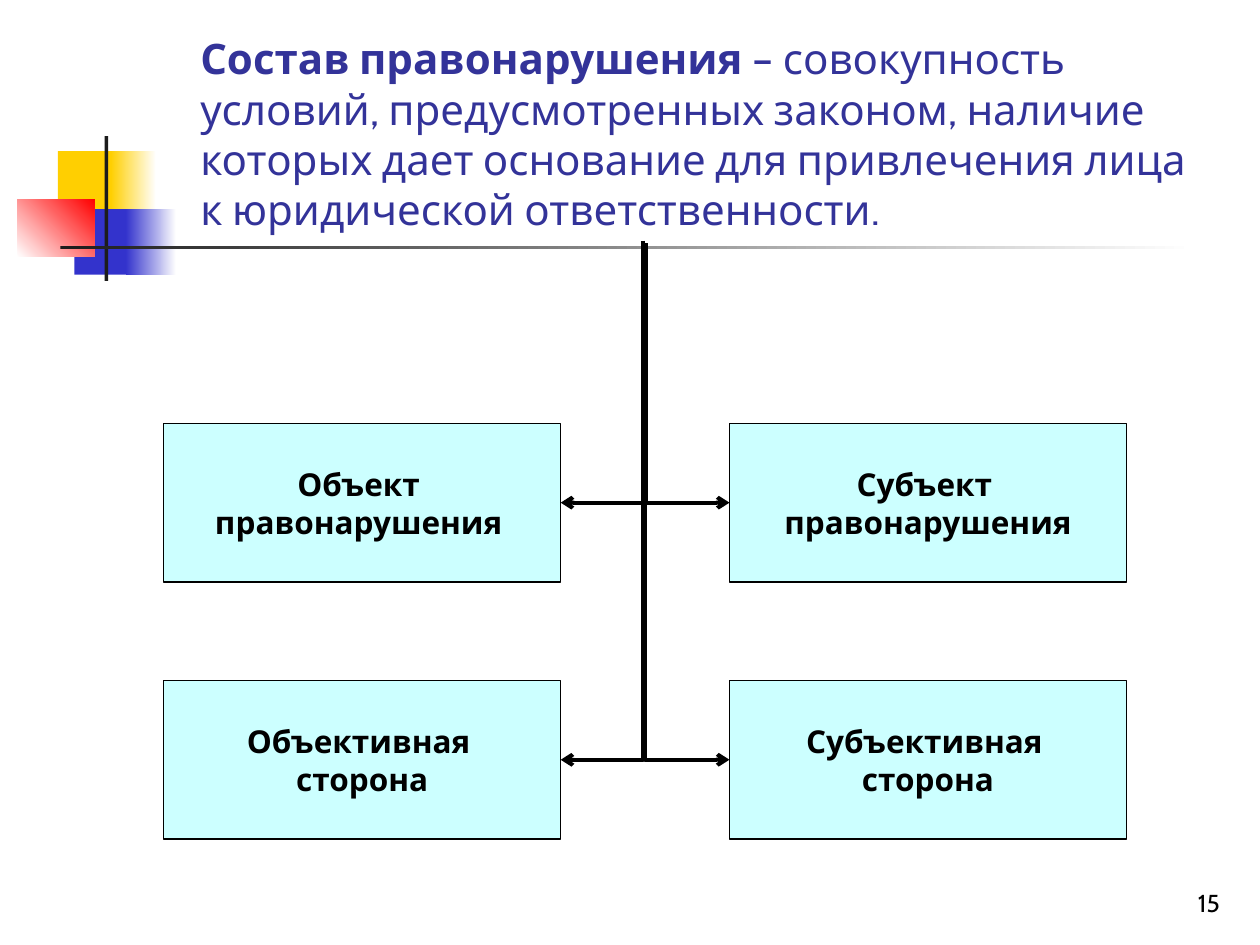
from lxml import etree
from pptx import Presentation
from pptx.dml.color import RGBColor
from pptx.enum.shapes import MSO_CONNECTOR, MSO_SHAPE
from pptx.enum.text import MSO_ANCHOR, MSO_AUTO_SIZE, PP_ALIGN
from pptx.oxml.ns import qn
from pptx.util import Inches, Pt

RECTANGLE = MSO_SHAPE.RECTANGLE
ELBOW = MSO_CONNECTOR.ELBOW
MIDDLE, BOTTOM = MSO_ANCHOR.MIDDLE, MSO_ANCHOR.BOTTOM
LEFT, CENTER, RIGHT = PP_ALIGN.LEFT, PP_ALIGN.CENTER, PP_ALIGN.RIGHT
NO_AUTOFIT = MSO_AUTO_SIZE.NONE
FONT = "Cabin"
BLACK = "000000"


def color(hex_code):
    return RGBColor.from_string(hex_code)


def style(para, size, hex_code, align, bold=None):
    para.alignment = align
    para.font.name = FONT
    para.font.size = Pt(size)
    para.font.bold = bold
    para.font.color.rgb = color(hex_code)


deck = Presentation()
deck.slide_width, deck.slide_height = Inches(10), Inches(7.5)
slide = deck.slides.add_slide(deck.slide_layouts[5])
shapes = slide.shapes

# Decorative squares and rules: position, start colour, end colour, angle
ornaments = [
    (0.46, 1.2, 0.48, 0.52, "FFCF01", None, 0),
    (0.88, 1.2, 0.36, 0.52, "FFCF01", "FFFFFF", 0),
    (0.59, 1.66, 0.46, 0.52, "3333CC", None, 0),
    (1, 1.66, 0.4, 0.52, "3333CC", "FFFFFF", 0),
    (0.14, 1.58, 0.61, 0.46, "FFFFFF", "FF0000", 45),
    (0.83, 1.08, 0.03, 1.15, "1C1C1C", None, 0),
    (0.48, 1.95, 9, 0.03, "1C1C1C", "FFFFFF", 0),
]
for left, top, width, height, start, end, angle in ornaments:
    ornament = shapes.add_shape(RECTANGLE, Inches(left), Inches(top), Inches(width), Inches(height))
    ornament.shadow.inherit = False
    ornament.line.fill.background()
    if end:
        ornament.fill.gradient()
        ornament.fill.gradient_angle = angle
        for stop, stop_color in zip(ornament.fill.gradient_stops, (start, end)):
            stop.color.rgb = color(stop_color)
    else:
        ornament.fill.solid()
        ornament.fill.fore_color.rgb = color(start)

# Slide number
number = shapes.add_textbox(Inches(7.7), Inches(6.83), Inches(2.08), Inches(0.5))
number.text_frame.word_wrap = True
number.text_frame.vertical_anchor = BOTTOM
number.text_frame.text = "15"
style(number.text_frame.paragraphs[0], 14, BLACK, RIGHT)

# Title with the defined term in bold
title = shapes.title
title.left, title.top, title.width, title.height = Inches(1.49), Inches(0.21), Inches(8.23), Inches(1.7)
title.text_frame.auto_size = NO_AUTOFIT
title.text_frame.vertical_anchor = BOTTOM
para = title.text_frame.paragraphs[0]
style(para, 24, "333399", LEFT)
term = para.add_run()
term.text = "Состав правонарушения "
term.font.bold = True
definition = para.add_run()
definition.text = (
    "– совокупность условий, предусмотренных законом, наличие которых "
    "дает основание для привлечения лица к юридической ответственности."
)

# Four elements in a two by two grid
box_width, box_height = 3.15, 1.26
column_left, column_right = 1.3, 5.79
row_upper, row_lower = 3.36, 5.4
elements = [
    (column_left, row_upper, "Объект \nправонарушения "),
    (column_left, row_lower, "Объективная \nсторона"),
    (column_right, row_lower, "Субъективная \nсторона"),
    (column_right, row_upper, "Субъект \nправонарушения"),
]
for left, top, text in elements:
    box = shapes.add_shape(RECTANGLE, Inches(left), Inches(top), Inches(box_width), Inches(box_height))
    box.shadow.inherit = False
    box.fill.solid()
    box.fill.fore_color.rgb = color("CCFFFF")
    box.line.color.rgb = color(BLACK)
    box.line.width = Pt(0.75)
    box.text_frame.word_wrap = False
    box.text_frame.vertical_anchor = MIDDLE
    box.text_frame.text = text
    for para in box.text_frame.paragraphs:
        style(para, 18, BLACK, CENTER, bold=True)

# One-bend arrows from the title down to each box: start x, start y, end x, row
arrows = [
    (5.1, 1.91, column_left + box_width, row_lower),
    (5.12, 1.93, column_right, row_lower),
    (5.12, 1.93, column_left + box_width, row_upper),
    (5.13, 1.93, column_right, row_upper),
]
for start_x, start_y, end_x, row in arrows:
    end_y = row + box_height / 2
    drop, reach = end_y - start_y, abs(end_x - start_x)
    # The frame is turned a quarter, so its width is the drop
    left = (start_x + end_x - drop) / 2
    top = (start_y + end_y - reach) / 2
    arrow = shapes.add_connector(ELBOW, Inches(left), Inches(top), Inches(left + drop), Inches(top + reach))
    arrow.line.color.rgb = color(BLACK)
    arrow.line.width = Pt(2.25)
    properties = arrow._element.spPr
    properties.find(qn("a:prstGeom")).set("prst", "bentConnector2")
    frame = properties.find(qn("a:xfrm"))
    if end_x < start_x:
        frame.set("rot", str(90 * 60000))
    else:
        frame.set("rot", str(270 * 60000))
        frame.set("flipH", "1")
    etree.SubElement(properties.find(qn("a:ln")), qn("a:tailEnd"), type="arrow")
    etree.SubElement(properties, qn("a:effectLst"))

deck.save("out.pptx")
